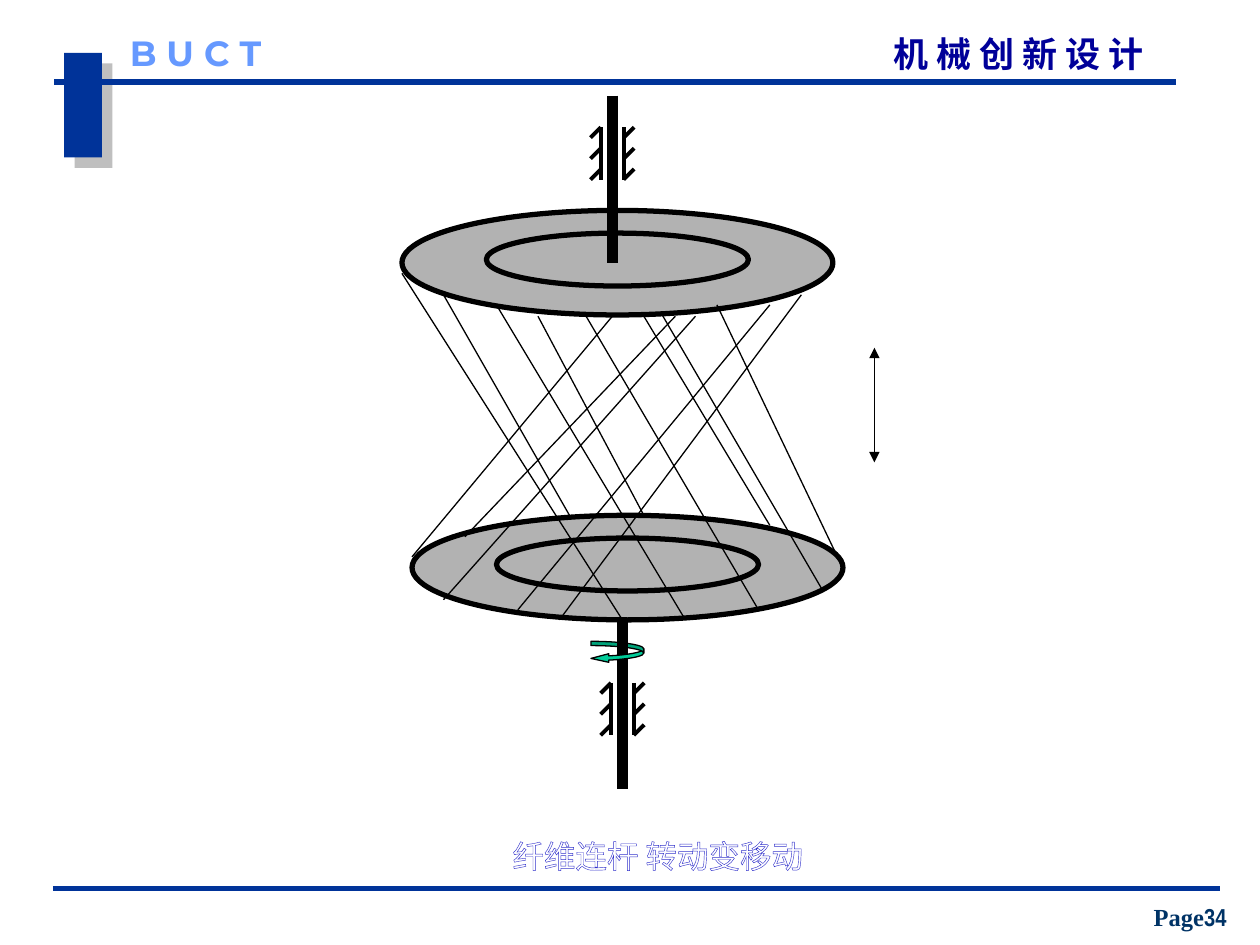
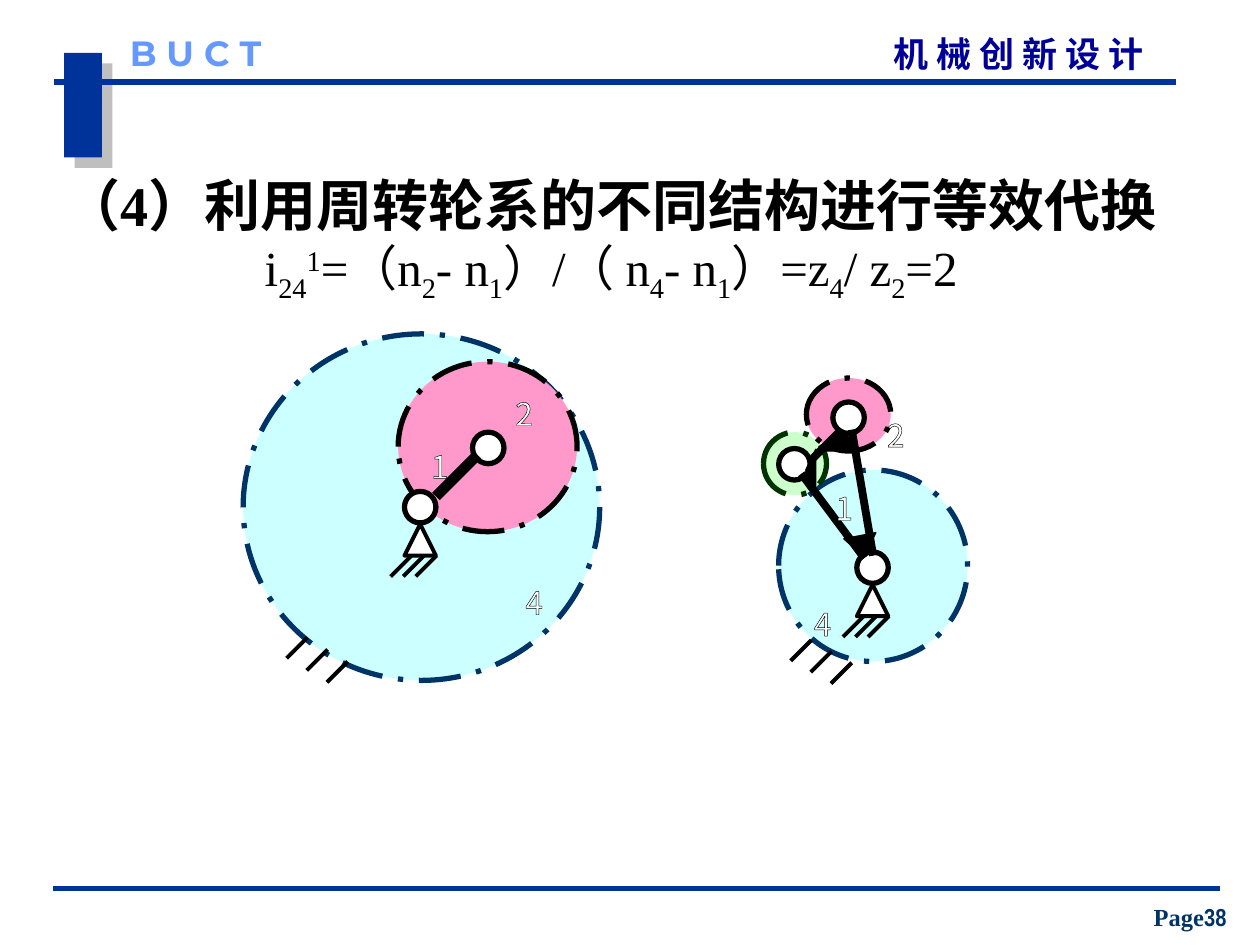
from dataclasses import dataclass

from lxml.etree import SubElement
from pptx import Presentation
from pptx.dml.color import RGBColor
from pptx.enum.dml import MSO_LINE
from pptx.enum.shapes import MSO_CONNECTOR, MSO_SHAPE
from pptx.enum.text import MSO_ANCHOR, MSO_AUTO_SIZE, PP_ALIGN
from pptx.oxml.ns import qn
from pptx.util import Inches, Pt


@dataclass(frozen=True)
class Theme:
    band: str = "003399"
    course: str = "000099"
    school: str = "6699FF"
    navy: str = "003366"
    ink: str = "000000"
    paper: str = "FFFFFF"
    shade: str = "808080"
    disc: str = "B2B2B2"
    spin: str = "00CC99"
    ring_gear: str = "CCFFFF"
    planet: str = "FF99CC"
    idler: str = "CCFFCC"
    idler_edge: str = "003300"
    caption_edge: str = "3333CC"
    serif: str = "Times New Roman"
    narrow: str = "Arial Narrow"
    display: str = "Montserrat"
    chinese: str = "Noto Sans CJK SC"
    title: int = 32
    formula: int = 28
    header: int = 20
    label: int = 18
    page: int = 14
    hair: float = 0.75
    medium: float = 2.25
    heavy: int = 3
    link: float = 4.5
    shaft: int = 6


THEME = Theme()
WIDTH, HEIGHT = Inches(10), Inches(7.5)
COLUMNS, ROWS = 100, 75
TICK = 0.83
FIBRES = [
    (31.9, 21.7, 49.4, 49.2), (39.4, 24.2, 54.4, 49.2), (46.4, 24.9, 60.2, 48.4),
    (52.5, 24.9, 65.2, 46.7), (39.4, 48.4, 38.6, 48.4), (56.9, 24.2, 66.9, 45.1),
    (51.1, 25.1, 61.1, 41.7), (42.7, 25.1, 51.1, 40.9), (35.2, 23.4, 45.2, 40.9),
    (48.6, 25.1, 32.7, 44.2), (55.2, 25.1, 35.2, 47.6), (61.1, 24.2, 41.1, 48.4),
    (63.6, 23.4, 44.4, 49.2), (53.6, 25.1, 36.9, 42.6),
]
FORMULA = [
    ("i", 0), ("24", -25), ("1", 30), ("=（n", 0), ("2", -25), ("- n", 0),
    ("1", -25), ("）/（ n", 0), ("4", -25), ("- n", 0), ("1", -25),
    ("）=z", 0), ("4", -25), ("/ z", 0), ("2", -25), ("=2", 0),
]


def across(columns):
    return round(WIDTH * columns / COLUMNS)


def down(rows):
    return round(HEIGHT * rows / ROWS)


def area(left, top, width, height):
    return across(left), down(top), across(width), down(height)


def colour(value):
    return RGBColor.from_string(value)


def add_figure(slide, kind, place, fill, edge=None, weight=THEME.heavy, dash=None, turn=0):
    figure = slide.shapes.add_shape(kind, *area(*place))
    figure.shadow.inherit = False
    figure.rotation = turn
    figure.fill.solid()
    figure.fill.fore_color.rgb = colour(fill)
    if edge:
        figure.line.color.rgb = colour(edge)
        figure.line.width = Pt(weight)
        figure.line.dash_style = dash
    else:
        figure.line.fill.background()
    return figure


def add_line(slide, start_x, start_y, end_x, end_y, weight, ink=THEME.ink):
    line = slide.shapes.add_connector(
        MSO_CONNECTOR.STRAIGHT, across(start_x), down(start_y), across(end_x), down(end_y))
    line.line.color.rgb = colour(ink)
    line.line.width = Pt(weight)
    SubElement(line._element.spPr, qn("a:effectLst"))
    return line


def add_span(para, text, face, size, ink, bold=False, base=0, outline=None):
    span = para.add_run()
    span.text = text
    span.font.name = face
    span.font.size = Pt(size)
    span.font.bold = bold
    span.font.color.rgb = colour(ink)
    properties = span._r.get_or_add_rPr()
    SubElement(properties, qn("a:ea"), typeface=THEME.chinese)
    if base:
        properties.set("baseline", str(base * 1000))
    if outline:
        edge = SubElement(properties, qn("a:ln"), w=str(Pt(THEME.hair)))
        fill = SubElement(edge, qn("a:solidFill"))
        SubElement(fill, qn("a:srgbClr"), val=outline)
        properties.insert(0, edge)


def add_text_box(slide, place, margins=(0, 0), wrap=True):
    box = slide.shapes.add_textbox(*area(*place))
    frame = box.text_frame
    frame.word_wrap = wrap
    frame.margin_left = frame.margin_right = across(margins[0])
    frame.margin_top = frame.margin_bottom = down(margins[1])
    return frame


def add_label(slide, text, center, top, width=4, outline=THEME.ink):
    place = (center - width / 2, top, width, 2.5)
    para = add_text_box(slide, place, (1, 0.5), wrap=False).paragraphs[0]
    para.alignment = PP_ALIGN.CENTER
    add_span(para, text, THEME.chinese, THEME.label, THEME.paper, outline=outline)


def add_marker(slide):
    marker = add_figure(slide, MSO_SHAPE.RECTANGLE, (5.1, 4.2, 3, 8.3), THEME.band)
    effects = marker._element.spPr.find(qn("a:effectLst"))
    shadow = SubElement(effects, qn("a:outerShdw"), dist=str(Pt(8.5)), dir="2700000",
                        algn="ctr", rotWithShape="0")
    tint = SubElement(shadow, qn("a:srgbClr"), val=THEME.shade)
    SubElement(tint, qn("a:alpha"), val="50000")


def add_page_frame(slide, number):
    add_marker(slide)
    add_line(slide, 4.3, 6.5, 93.3, 6.5, THEME.heavy, THEME.band)
    add_line(slide, 4.2, 70.5, 96.8, 70.5, THEME.heavy, THEME.band)
    course = add_text_box(slide, (70.9, 2.6, 24.5, 3.3)).paragraphs[0]
    add_span(course, "机 械 创 新 设 计", THEME.chinese, THEME.header, THEME.course, bold=True)
    school = add_text_box(slide, (10.3, 2.5, 14.2, 3.3)).paragraphs[0]
    add_span(school, "B U C T", THEME.display, THEME.header, THEME.school, bold=True)
    footer = add_text_box(slide, (89.7, 71.1, 9.5, 3.3), (1, 0.5))
    footer.vertical_anchor = MSO_ANCHOR.BOTTOM
    para = footer.paragraphs[0]
    para.alignment = PP_ALIGN.CENTER
    for text, face in (("Page", THEME.serif), (str(number), THEME.narrow)):
        add_span(para, text, face, THEME.page, THEME.navy, bold=True)


def add_disc(slide, left, top):
    for place in ((left, top, 34.2, 8.3), (left + 6.7, top + 1.8, 20.8, 4.2)):
        add_figure(slide, MSO_SHAPE.OVAL, place, THEME.disc, THEME.ink)


def add_bearing(slide, shaft, top):
    for side in (-1, 1):
        wall = shaft + side * 0.9
        add_line(slide, wall, top, wall, top + 5 * TICK, THEME.medium)
        for row in range(3):
            high = top + row * 2 * TICK
            inner, outer = (high, high + TICK) if side < 0 else (high + TICK, high)
            add_line(slide, wall, inner, wall + side * TICK, outer, THEME.medium)


def add_hatching(slide, left, top, step_x, step_y=0):
    for index in range(3):
        x, y = left + index * step_x, top + index * step_y
        add_line(slide, x, y, x - 1.65, y + 1.65, THEME.medium)


def add_joint(slide, left, top):
    add_figure(slide, MSO_SHAPE.OVAL, (left, top, 2.5, 2.5), THEME.paper, THEME.ink)


def add_fixed_pivot(slide, left, top):
    add_joint(slide, left, top)
    add_figure(slide, MSO_SHAPE.ISOSCELES_TRIANGLE, (left, top + 2.6, 2.5, 2.5),
               THEME.paper, THEME.ink, THEME.medium)
    add_hatching(slide, left + 0.55, top + 5.1, 1)


def add_gear(slide, place, fill, edge):
    add_figure(slide, MSO_SHAPE.OVAL, place, fill, edge, dash=MSO_LINE.LONG_DASH_DOT)


def add_wedge(slide, place, turn=0):
    add_figure(slide, MSO_SHAPE.ISOSCELES_TRIANGLE, place, THEME.ink, THEME.ink,
               THEME.hair, turn=turn)


def add_travel_arrow(slide):
    arrow = add_line(slide, 69.4, 27.6, 69.4, 36.7, THEME.hair)
    edge = arrow.line._get_or_add_ln()
    for end in ("a:headEnd", "a:tailEnd"):
        SubElement(edge, qn(end), type="triangle")


def add_spin_arrow(slide):
    arrow = add_figure(slide, MSO_SHAPE.CURVED_LEFT_ARROW, (46.9, 50.9, 4.2, 1.7),
                       THEME.spin, THEME.ink, THEME.hair)
    for index, share in enumerate((0.2, 0.4, 0.83)):
        arrow.adjustments[index] = share


def build_fibre_slide(deck):
    slide = deck.slides.add_slide(deck.slide_layouts[6])
    add_page_frame(slide, 34)
    add_disc(slide, 31.9, 16.7)
    add_disc(slide, 32.7, 40.9)
    for fibre in FIBRES:
        add_line(slide, *fibre, THEME.hair)
    add_line(slide, 48.6, 7.6, 48.6, 20.9, THEME.shaft)
    add_line(slide, 49.4, 49.2, 49.4, 62.6, THEME.shaft)
    add_bearing(slide, 48.6, 10.1)
    add_bearing(slide, 49.4, 54.2)
    add_travel_arrow(slide)
    add_spin_arrow(slide)
    add_line(slide, 49.4, 49.2, 49.4, 51.7, THEME.shaft)
    add_label(slide, "纤维连杆 转动变移动", 52.2, 65.9, 36, THEME.caption_edge)


def add_gear_title(slide):
    title = slide.shapes.title
    title.left, title.top, title.width, title.height = area(3.5, 14.7, 90, 8.3)
    frame = title.text_frame
    frame.auto_size = MSO_AUTO_SIZE.NONE
    frame.word_wrap = True
    frame.vertical_anchor = MSO_ANCHOR.MIDDLE
    frame.margin_left = frame.margin_right = frame.margin_top = frame.margin_bottom = 0
    para = frame.paragraphs[0]
    para.alignment = PP_ALIGN.CENTER
    add_span(para, "（4）利用周转轮系的不同结构进行等效代换", THEME.serif, THEME.title,
             THEME.ink, bold=True)
    para.add_line_break()
    for text, base in FORMULA:
        add_span(para, text, THEME.serif, THEME.formula, THEME.ink, base=base)


def add_internal_train(slide):
    add_gear(slide, (19.3, 26.5, 28.3, 27.5), THEME.ring_gear, THEME.navy)
    add_gear(slide, (31.6, 28.7, 14.2, 13.5), THEME.planet, THEME.ink)
    add_joint(slide, 37.5, 34.3)
    add_line(slide, 37.9, 36.1, 34.6, 39.4, THEME.shaft)
    add_fixed_pivot(slide, 32.1, 39)
    add_hatching(slide, 24.4, 50.6, 1.6, 0.95)
    for text, center, top in (("1", 34.9, 35), ("2", 41.6, 30.8), ("4", 42.4, 45.8)):
        add_label(slide, text, center, top)


def add_external_train(slide):
    add_gear(slide, (61.8, 37.3, 15, 15.2), THEME.ring_gear, THEME.navy)
    add_fixed_pivot(slide, 68, 43.8)
    add_gear(slide, (60.6, 34.3, 5, 5), THEME.idler, THEME.idler_edge)
    add_gear(slide, (64, 30, 6.7, 5.8), THEME.planet, THEME.ink)
    add_joint(slide, 66.1, 31.9)
    add_joint(slide, 61.8, 35.6)
    for link in ((63.6, 37.6, 68.6, 44.3), (67.6, 34.1, 69.3, 44.1), (66.8, 34.1, 64.3, 36.6)):
        add_line(slide, *link, THEME.link)
    add_wedge(slide, (62.7, 36.9, 3.3, 0.8), 270)
    add_wedge(slide, (67.1, 42.5, 2.6, 1.7), 169)
    add_wedge(slide, (65.1, 34.1, 3.3, 1.7))
    for text, center, top in (("4", 65.3, 47.5), ("1", 67, 38.3), ("2", 71.1, 32.5)):
        add_label(slide, text, center, top)
    add_hatching(slide, 64.4, 50.8, 1.6, 0.9)


def build_gear_slide(deck):
    slide = deck.slides.add_slide(deck.slide_layouts[5])
    add_page_frame(slide, 38)
    add_gear_title(slide)
    add_internal_train(slide)
    add_external_train(slide)


def main():
    deck = Presentation()
    deck.slide_width, deck.slide_height = WIDTH, HEIGHT
    build_fibre_slide(deck)
    build_gear_slide(deck)
    deck.save("out.pptx")


if __name__ == "__main__":
    main()
